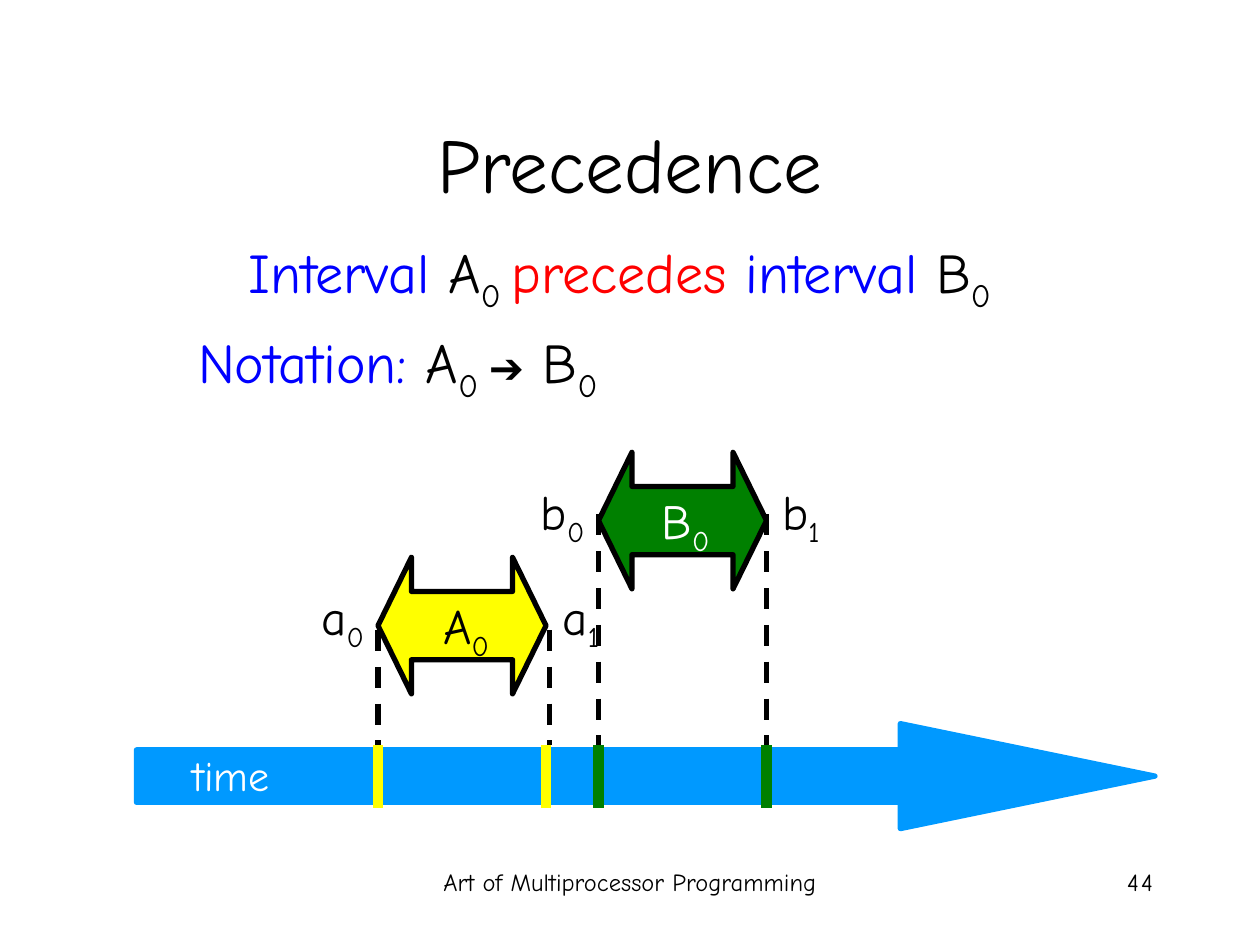
from dataclasses import dataclass

from pptx import Presentation
from pptx.dml.color import RGBColor
from pptx.enum.dml import MSO_LINE
from pptx.enum.shapes import MSO_CONNECTOR, MSO_SHAPE
from pptx.enum.text import MSO_ANCHOR, MSO_AUTO_SIZE, PP_ALIGN
from pptx.oxml.ns import qn
from pptx.util import Pt
from lxml.etree import SubElement


@dataclass(frozen=True)
class Theme:
    font: str = "Comic Neue"
    symbol_font: str = "Arial"
    black: str = "000000"
    white: str = "FFFFFF"
    blue: str = "0000FF"
    red: str = "FF0000"
    yellow: str = "FFFF00"
    green: str = "008000"
    axis: str = "0099FF"
    title: int = 44
    body: int = 32
    label: int = 28
    time: int = 24
    footer: int = 14


T = Theme()


def write(p, text, size=T.label, color=T.black, font=T.font, sub=False):
    r = p.add_run()
    r.text = text
    r.font.size = Pt(size)
    r.font.name = font
    r.font.color.rgb = RGBColor.from_string(color)
    if sub:
        r._r.get_or_add_rPr().set("baseline", "-25000")


def place(sp, x, y, w, h):
    sp.left, sp.top, sp.width, sp.height = Pt(x), Pt(y), Pt(w), Pt(h)


def add_box(slide, x, y, w, h, align=PP_ALIGN.RIGHT, wrap=False):
    tf = slide.shapes.add_textbox(Pt(x), Pt(y), Pt(w), Pt(h)).text_frame
    tf.word_wrap = wrap
    p = tf.paragraphs[0]
    p.alignment = align
    return p


def add_line(slide, x1, y1, x2, y2, color, width, dash=None):
    c = slide.shapes.add_connector(MSO_CONNECTOR.STRAIGHT, Pt(x1), Pt(y1), Pt(x2), Pt(y2))
    c.line.color.rgb = RGBColor.from_string(color)
    c.line.width = Pt(width)
    if dash:
        c.line.dash_style = dash
    SubElement(c._element.spPr, qn("a:effectLst"))


def add_arrow(slide, kind, x, y, w, h, head, fill, line):
    sp = slide.shapes.add_shape(kind, Pt(x), Pt(y), Pt(w), Pt(h))
    sp.adjustments[0] = 0.5
    sp.adjustments[1] = head
    sp.shadow.inherit = False
    sp.fill.solid()
    sp.fill.fore_color.rgb = RGBColor.from_string(fill)
    sp.line.color.rgb = RGBColor.from_string(line)
    sp.line.width = Pt(3)


def add_title(slide, x, y, w, h):
    sp = slide.shapes.title
    place(sp, x, y, w, h)
    tf = sp.text_frame
    tf.auto_size = MSO_AUTO_SIZE.NONE
    tf.vertical_anchor = MSO_ANCHOR.MIDDLE
    p = tf.paragraphs[0]
    p.alignment = PP_ALIGN.CENTER
    write(p, "Precedence", size=T.title)


def add_body(slide, x, y, w, h):
    sp = slide.placeholders[1]
    place(sp, x, y, w, h)
    tf = sp.text_frame
    tf.auto_size = MSO_AUTO_SIZE.NONE
    first, second = tf.paragraphs[0], tf.add_paragraph()
    for p, align, margin, indent, before in (
        (first, PP_ALIGN.CENTER, 27, -27, 0),
        (second, PP_ALIGN.LEFT, 58, 0, 8),
    ):
        p.alignment = align
        p.space_before = Pt(before)
        pPr = p._p.get_or_add_pPr()
        pPr.set("marL", str(Pt(margin)))
        pPr.set("indent", str(Pt(indent)))
        SubElement(pPr, qn("a:buNone"))
    for p, text, fmt in (
        (first, "Interval ", {"color": T.blue}),
        (first, "A", {}),
        (first, "0 ", {"sub": True}),
        (first, "precedes", {"color": T.red}),
        (first, " interval ", {"color": T.blue}),
        (first, "B", {}),
        (first, "0", {"sub": True}),
        (second, "Notation: ", {"color": T.blue}),
        (second, "A", {}),
        (second, "0 ", {"sub": True}),
        (second, "➔", {"size": T.time, "font": T.symbol_font}),
        (second, " B", {}),
        (second, "0", {"sub": True}),
    ):
        write(p, text, **{"size": T.body, **fmt})


def add_time_axis(slide, x, y, w, h):
    add_arrow(slide, MSO_SHAPE.RIGHT_ARROW, x, y, w, h, 2.425, T.axis, T.axis)
    write(add_box(slide, x + 14.5, y + 11.5, 68.5, 36), "time", size=T.time, color=T.white)


def add_interval(slide, x, y, w, h, name, fill, color, dash_top, dash_bottom, dash_right):
    tick_top, tick_bottom = 426, 462
    for dash_x in (x, dash_right):
        add_line(slide, dash_x, dash_top, dash_x, dash_bottom, T.black, 3, MSO_LINE.DASH)
    add_arrow(slide, MSO_SHAPE.LEFT_RIGHT_ARROW, x, y, w, h, 0.245, fill, T.black)
    label_w = 42
    for letter, index, right, dy, ink in (
        (name.lower(), "0", -1, 13, T.black),
        (name.lower(), "1", 133.5, 13, T.black),
        (name, "0", 70.5, 18, color),
    ):
        p = add_box(slide, x + right - label_w, y + dy, label_w, 45)
        write(p, letter, color=ink)
        write(p, index, color=ink, sub=True)
    for tick_x in (x, x + w):
        add_line(slide, tick_x, tick_top, tick_x, tick_bottom, fill, 6)


def add_footer(slide, x, y, w, h):
    p = add_box(slide, x, y, 228, h, PP_ALIGN.CENTER, wrap=True)
    write(p, "Art of Multiprocessor Programming", size=T.footer)
    for right in (w - 8, w):
        write(add_box(slide, x + right - 150, y, 150, h, wrap=True), "4", size=T.footer)


def main():
    prs = Presentation()
    prs.slide_width, prs.slide_height = Pt(720), Pt(540)
    slide = prs.slides.add_slide(prs.slide_layouts[1])
    add_title(slide, 54, 48, 612, 90)
    add_body(slide, 48, 132, 612, 154)
    add_footer(slide, 246, 492, 420, 36)
    add_time_axis(slide, 78, 413.5, 582, 60)
    add_interval(slide, 342, 258.5, 96, 78, "B", T.green, T.white, 294, 462, 438)
    add_interval(slide, 216, 318.5, 96, 78, "A", T.yellow, T.black, 360, 426, 314)
    prs.save("out.pptx")


if __name__ == "__main__":
    main()
